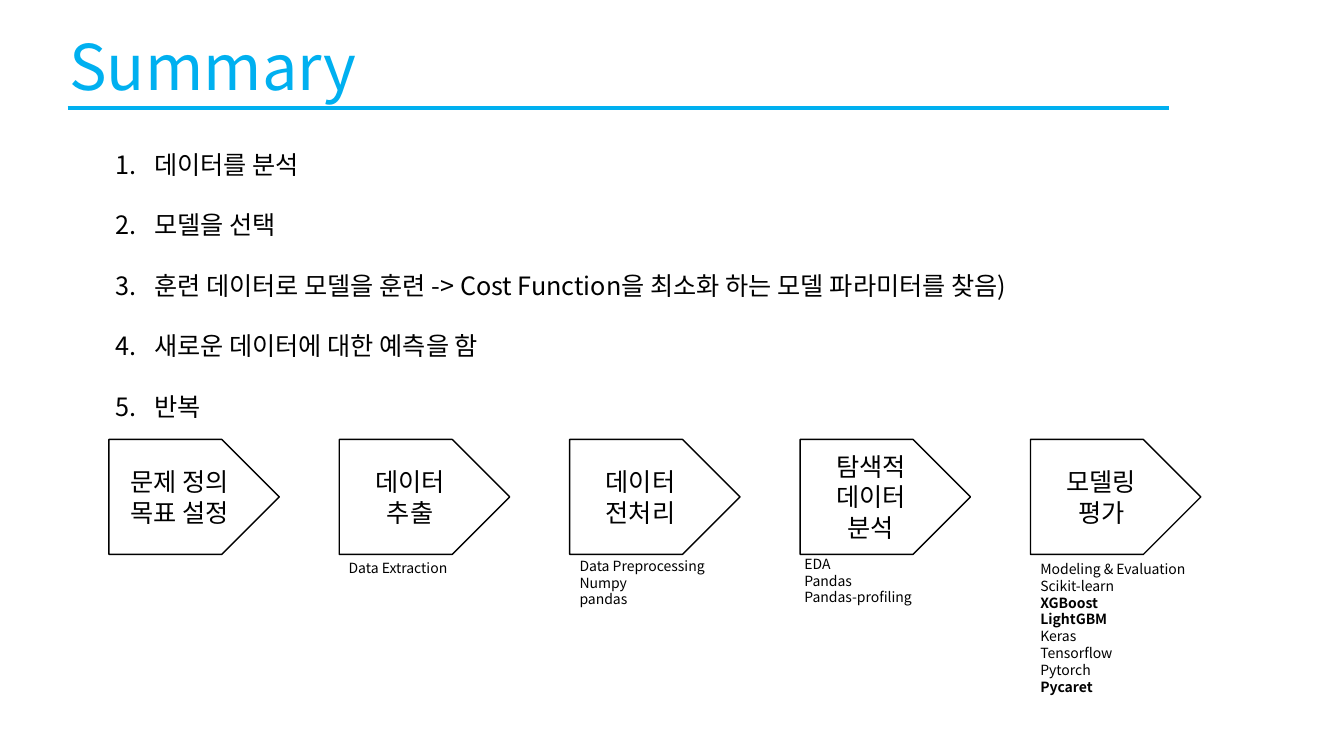
import dataclasses

import lxml.etree
import pptx
import pptx.dml.color
import pptx.enum.shapes
import pptx.enum.text
import pptx.oxml.ns
import pptx.util

Inches = pptx.util.Inches
Pt = pptx.util.Pt
qn = pptx.oxml.ns.qn

FONT = "Noto Sans CJK KR"
SKY = pptx.dml.color.RGBColor(0x00, 0xB0, 0xF0)
BLACK = pptx.dml.color.RGBColor(0x00, 0x00, 0x00)
WHITE = pptx.dml.color.RGBColor(0xFF, 0xFF, 0xFF)

STAGE_LEFT, STAGE_TOP, STAGE_PITCH = 1.08, 4.36, 2.285
STAGE_WIDTH, STAGE_HEIGHT = 1.69, 1.14


@dataclasses.dataclass(frozen=True)
class Tools:
    left: float
    top: float
    width: float
    height: float
    names: tuple[str, ...]


STEPS = (
    "데이터를 분석",
    "모델을 선택",
    "훈련 데이터로 모델을 훈련 -> Cost Function을 최소화 하는 모델 파라미터를 찾음)",
    "새로운 데이터에 대한 예측을 함",
    "반복",
)
STAGES = (
    ("문제 정의", "목표 설정"),
    ("데이터", "추출"),
    ("데이터", "전처리"),
    ("탐색적", "데이터", "분석"),
    ("모델링", "평가"),
)
TOOLS = (
    Tools(3.36, 5.5, 1.37, 0.27, ("Data Extraction",)),
    Tools(5.65, 5.48, 2.04, 0.61, ("Data Preprocessing", "Numpy", "pandas")),
    Tools(7.88, 5.46, 2.04, 0.61, ("EDA", "Pandas", "Pandas-profiling")),
    Tools(10.22, 5.51, 2.04, 1.45,
          ("Modeling & Evaluation", "Scikit-learn", "XGBoost", "LightGBM",
           "Keras", "Tensorflow", "Pytorch", "Pycaret")),
)
HIGHLIGHTED = {"XGBoost", "LightGBM", "Pycaret"}


def write_lines(frame, lines: tuple[str, ...], size: float, color=BLACK) -> None:
    """Write one paragraph per line."""
    frame.word_wrap = True
    for index, line in enumerate(lines):
        paragraph = frame.paragraphs[0] if index == 0 else frame.add_paragraph()
        run = paragraph.add_run()
        run.text = line
        run.font.name = FONT
        run.font.size = Pt(size)
        run.font.color.rgb = color
        run.font.bold = line in HIGHLIGHTED
        east_asian = lxml.etree.SubElement(run.font._element, qn("a:ea"))
        east_asian.set("typeface", FONT)


def add_text(slide, left: float, top: float, width: float, height: float,
             lines: tuple[str, ...], size: float, color=BLACK):
    box = slide.shapes.add_textbox(
        Inches(left), Inches(top), Inches(width), Inches(height))
    write_lines(box.text_frame, lines, size, color)
    box.text_frame.auto_size = pptx.enum.text.MSO_AUTO_SIZE.SHAPE_TO_FIT_TEXT
    return box.text_frame


def number_steps(frame) -> None:
    """Turn the paragraphs into a double-spaced numbered list."""
    for paragraph in frame.paragraphs:
        paragraph.line_spacing = 2.0
        properties = paragraph._p.get_or_add_pPr()
        properties.set("marL", str(Inches(0.38)))
        properties.set("indent", str(Inches(-0.38)))
        numbering = lxml.etree.SubElement(properties, qn("a:buAutoNum"))
        numbering.set("type", "arabicPeriod")


def add_stage(slide, position: int, lines: tuple[str, ...]) -> None:
    stage = slide.shapes.add_shape(
        pptx.enum.shapes.MSO_SHAPE.PENTAGON,
        Inches(STAGE_LEFT + position * STAGE_PITCH), Inches(STAGE_TOP),
        Inches(STAGE_WIDTH), Inches(STAGE_HEIGHT))
    stage.shadow.inherit = False
    stage.fill.solid()
    stage.fill.fore_color.rgb = WHITE
    stage.line.color.rgb = BLACK
    stage.line.width = Pt(1)
    write_lines(stage.text_frame, lines, 18)
    stage.text_frame.vertical_anchor = pptx.enum.text.MSO_ANCHOR.MIDDLE
    for paragraph in stage.text_frame.paragraphs:
        paragraph.alignment = pptx.enum.text.PP_ALIGN.CENTER


presentation = pptx.Presentation()
presentation.slide_width = Inches(13.33)
presentation.slide_height = Inches(7.5)
summary = presentation.slides.add_slide(presentation.slide_layouts[6])

# Title and its rule
title_rule = summary.shapes.add_connector(
    pptx.enum.shapes.MSO_CONNECTOR.STRAIGHT,
    Inches(0.67), Inches(1.07), Inches(11.59), Inches(1.07))
title_rule.line.color.rgb = SKY
title_rule.line.width = Pt(3)
lxml.etree.SubElement(title_rule._element.spPr, qn("a:effectLst"))
add_text(summary, 0.59, 0.22, 9.98, 0.86, ("Summary",), 45, SKY)

# Numbered steps
number_steps(add_text(summary, 1.05, 1.13, 10.75, 3.03, STEPS, 18))

# Workflow stages
for position, stage_lines in enumerate(STAGES):
    add_stage(summary, position, stage_lines)

# Tools under the stages
for tools in TOOLS:
    add_text(summary, tools.left, tools.top, tools.width, tools.height,
             tools.names, 10)

presentation.save("out.pptx")
